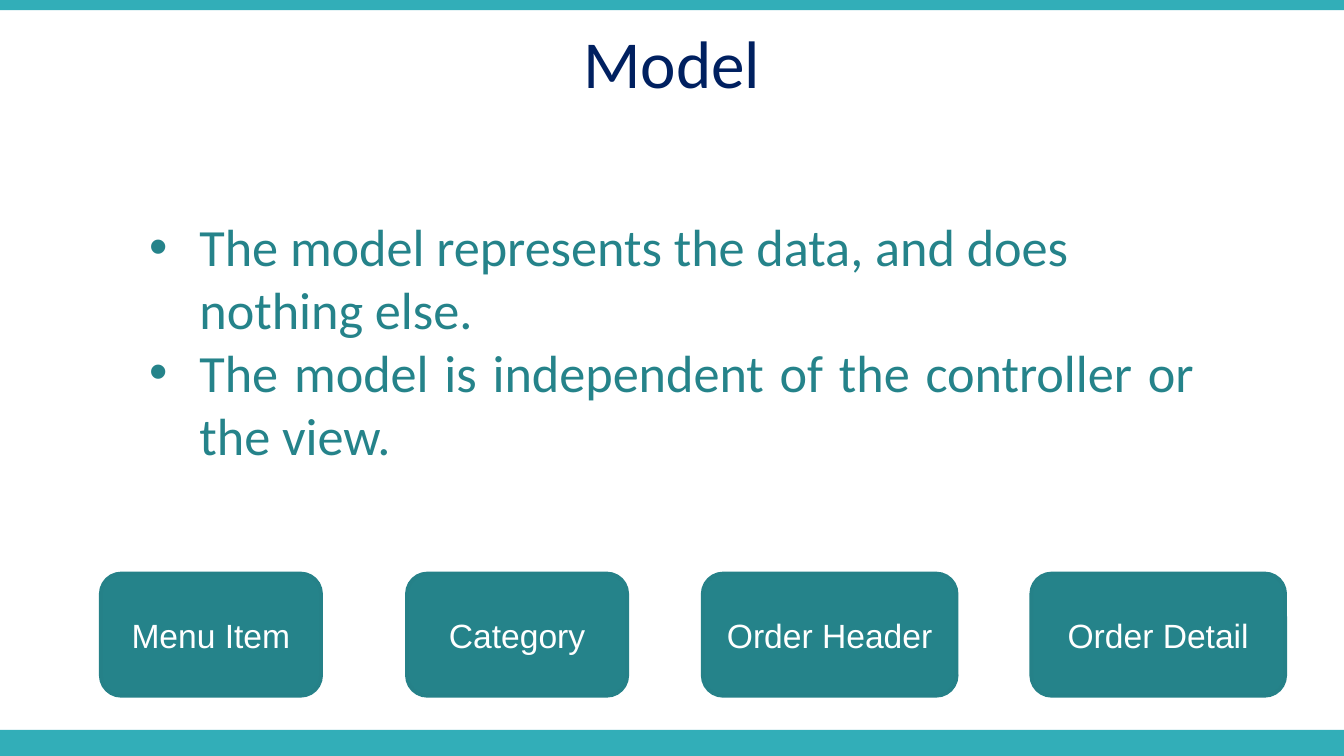
from lxml import etree
from pptx import Presentation
from pptx.dml.color import RGBColor
from pptx.enum import shapes, text
from pptx.oxml import ns
from pptx.util import Pt

# Content
TITLE = "Model"
POINTS = [
    ("The model represents the data, and does nothing else.", text.PP_ALIGN.LEFT),
    ("The model is independent of the controller or the view.", text.PP_ALIGN.JUSTIFY),
]
ENTITIES = [  # label, left, width
    ("Menu Item", 54, 118),
    ("Category", 218, 118),
    ("Order Header", 376.5, 136),
    ("Order Detail", 552.5, 136),
]
BANDS = [(0, 5.5), (391, 14)]  # top, height
COLORS = {"band": "32AEB8", "box": "25838A", "edge": "258188",
          "title": "002060", "label": "FFFFFF"}
WIDTH, HEIGHT = 720, 405
BOX_TOP, BOX_HEIGHT = 307.25, 65.5
INDENT = 27


def color(name):
    return RGBColor.from_string(COLORS[name])


def write(paragraph, content, size, font, fill, align):
    paragraph.alignment = align
    run = paragraph.add_run()
    run.text = content
    run.font.size = Pt(size)
    run.font.name = font
    run.font.color.rgb = color(fill)


def add_box(slide, kind, left, top, width, height, fill):
    shape = slide.shapes.add_shape(kind, Pt(left), Pt(top), Pt(width), Pt(height))
    shape.shadow.inherit = False
    shape.fill.solid()
    shape.fill.fore_color.rgb = color(fill)
    shape.line.fill.background()
    return shape


def add_text_frame(slide, left, top, width, height, anchor):
    frame = slide.shapes.add_textbox(Pt(left), Pt(top), Pt(width), Pt(height)).text_frame
    frame.word_wrap = True
    frame.vertical_anchor = anchor
    return frame


def add_bullet(paragraph):
    properties = paragraph._p.get_or_add_pPr()
    properties.set("marL", str(Pt(INDENT)))
    properties.set("indent", str(-Pt(INDENT)))
    etree.SubElement(properties, ns.qn("a:buFont"), typeface="Arial")
    etree.SubElement(properties, ns.qn("a:buChar"), char="•")


presentation = Presentation()
presentation.slide_width, presentation.slide_height = Pt(WIDTH), Pt(HEIGHT)
slide = presentation.slides.add_slide(presentation.slide_layouts[6])

# Bands along the top and bottom edges
for top, height in BANDS:
    add_box(slide, shapes.MSO_SHAPE.RECTANGLE, 0, top, WIDTH, height, "band")

# Title
frame = add_text_frame(slide, 0, 10, WIDTH, 45.5, text.MSO_ANCHOR.MIDDLE)
write(frame.paragraphs[0], TITLE, size=36, font="Calibri", fill="title",
      align=text.PP_ALIGN.CENTER)

# Bulleted points
frame = add_text_frame(slide, 72.75, 111.5, 574, 143.5, text.MSO_ANCHOR.TOP)
for index, (point, align) in enumerate(POINTS):
    paragraph = frame.add_paragraph() if index else frame.paragraphs[0]
    write(paragraph, point, size=28, font="Calibri", fill="box", align=align)
    add_bullet(paragraph)

# Row of model entities
for label, left, width in ENTITIES:
    box = add_box(slide, shapes.MSO_SHAPE.ROUNDED_RECTANGLE,
                  left, BOX_TOP, width, BOX_HEIGHT, "box")
    box.line.color.rgb = color("edge")
    box.line.width = Pt(2)
    box.text_frame.word_wrap = True
    box.text_frame.vertical_anchor = text.MSO_ANCHOR.MIDDLE
    write(box.text_frame.paragraphs[0], label, size=18, font="Arial", fill="label",
          align=text.PP_ALIGN.CENTER)

presentation.save("out.pptx")
